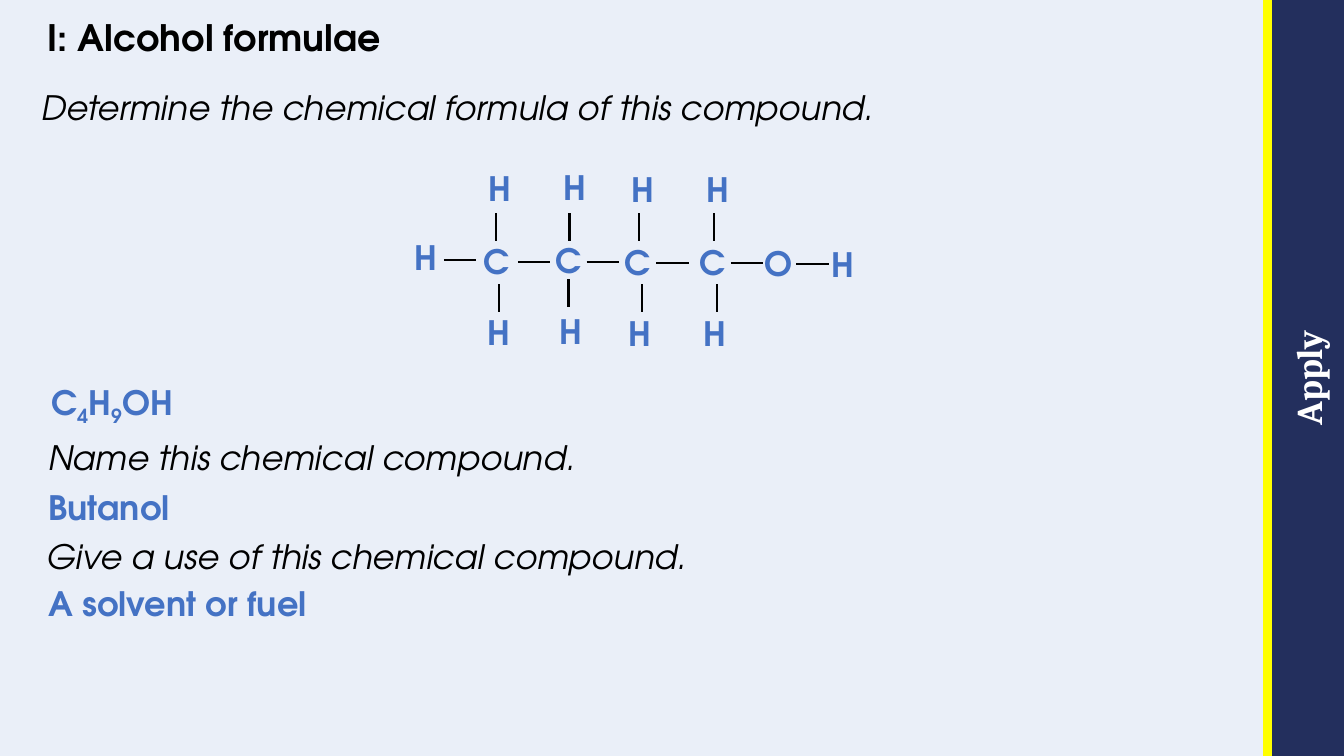
from pptx import Presentation
from pptx import util as u
from pptx.dml import color
from pptx.enum import shapes, text
from pptx.oxml import xmlchemy as xml
from pptx.oxml import ns
from lxml import etree

Pt = u.Pt
BLUE, BLACK, NAVY = "4472C4", "000000", "232F5D"
SANS, SERIF = "TeX Gyre Adventor", "Cambria"


def rgb(code):
    """Turn a hex string into a colour."""
    return color.RGBColor.from_string(code)


class Pen:
    """Draw styled elements on one slide, with lengths in points."""

    def __init__(self, slide, size=24):
        self.slide = slide
        self.size = size

    def ground(self, code):
        fill = self.slide.background.fill
        fill.solid()
        fill.fore_color.rgb = rgb(code)

    def run(self, para, word, code, bold=True, font=SANS, size=None, sub=False):
        run = para.add_run()
        run.text = word
        run.font.name = font
        run.font.size = Pt(size or self.size)
        run.font.bold = bold
        run.font.italic = not bold
        run.font.color.rgb = rgb(code)
        if sub:
            run.font._element.set("baseline", "-25000")

    def label(self, x, y, w, words, code=BLUE, bold=True, wrap=True):
        box = self.slide.shapes.add_textbox(Pt(x), Pt(y), Pt(w), Pt(36))
        frame = box.text_frame
        frame.word_wrap = wrap
        frame.auto_size = text.MSO_AUTO_SIZE.SHAPE_TO_FIT_TEXT
        for word in words:
            self.run(frame.paragraphs[0], word, code, bold, sub=word.isdigit())

    def title(self, x, y, w, h, word):
        frame = self.slide.shapes.add_textbox(Pt(x), Pt(y), Pt(w), Pt(h)).text_frame
        frame.word_wrap = True
        frame.vertical_anchor = text.MSO_ANCHOR.MIDDLE
        para = frame.paragraphs[0]
        para.line_spacing = 0.9
        self.run(para, word, BLACK, size=26)

    def atom(self, x, y, word):
        self.label(x, y, 31 if word == "H" else 34.5, [word], wrap=False)

    def line(self, x1, y1, x2, y2, code=BLACK, width=1.5):
        kind = shapes.MSO_CONNECTOR.STRAIGHT
        line = self.slide.shapes.add_connector(kind, Pt(x1), Pt(y1), Pt(x2), Pt(y2))
        line.line.color.rgb = rgb(code)
        line.line.width = Pt(width)
        etree.SubElement(line._element.spPr, ns.qn("a:effectLst"))

    def band(self, x, y, w, h, word):
        kind = shapes.MSO_SHAPE.RECTANGLE
        band = self.slide.shapes.add_shape(kind, Pt(x), Pt(y), Pt(w), Pt(h))
        band.rotation = 270
        band.shadow.inherit = False
        band.fill.solid()
        band.fill.fore_color.rgb = rgb(NAVY)
        band.line.fill.background()
        frame = band.text_frame
        frame.margin_left = frame.margin_right = 0
        frame.margin_top = frame.margin_bottom = 0
        frame.vertical_anchor = text.MSO_ANCHOR.MIDDLE
        para = frame.paragraphs[0]
        para.alignment = text.PP_ALIGN.CENTER
        self.run(para, word, "FFFFFF", font=SERIF, size=26)


def chain(pen):
    """Draw the butanol molecule from left to right."""
    columns = [
        (338.4, 168.5, 342, 354.2, 356.4, 203),
        (389.5, 167.8, 395.3, 406.8, 406.1, 199.4),
        (439.2, 169.2, 444.2, 456.5, 458.6, 203),
        (492.5, 169.2, 497.5, 509.8, 511.9, 203),
    ]
    for x, y, top, up, down, start in columns:
        pen.atom(x, y, "C")
        pen.atom(top, y - 51.8, "H")
        pen.atom(x + 2.9, y + 50.9, "H")
        pen.line(up, 152.2, up, 172)
        pen.line(down, start, down, start + 19.8)
    for x, y, word in [(288.7, 165.6, "H"), (539.3, 169.9, "O"), (586.8, 170.6, "H")]:
        pen.atom(x, y, word)
    bonds = [(317, 185.8), (370, 187.2), (419, 187.2),
             (468.7, 187.9), (522, 187.9), (568.8, 188.6)]
    for x, y in bonds:
        pen.line(x, y, x + 23.2, y)


def main():
    """Build and save the slide."""
    deck = Presentation()
    deck.slide_width, deck.slide_height = Pt(960), Pt(540)
    pen = Pen(deck.slides.add_slide(deck.slide_layouts[6]))
    pen.ground("EAEFF8")
    pen.band(664, 244, 540, 52, "Apply")
    pen.line(905.5, 0, 905.5, 540, "FFFF00", 6)
    pen.title(26.6, 0, 836, 57, "I: Alcohol formulae")
    tasks = [
        (22.3, 58.3, 814, "Determine the chemical formula of this compound."),
        (27.2, 308.2, 400, "Name this chemical compound."),
        (26.2, 379.4, 487, "Give a use of this chemical compound."),
    ]
    for x, y, w, task in tasks:
        pen.label(x, y, w, [task], BLACK, bold=False)
    chain(pen)
    pen.label(29.5, 269.3, 132, ["C", "4", "H", "9", "OH"])
    pen.label(27.4, 344.2, 132, ["Butanol"])
    pen.label(27.4, 412.6, 250, ["A solvent or fuel"])
    deck.save("out.pptx")


if __name__ == "__main__":
    main()
